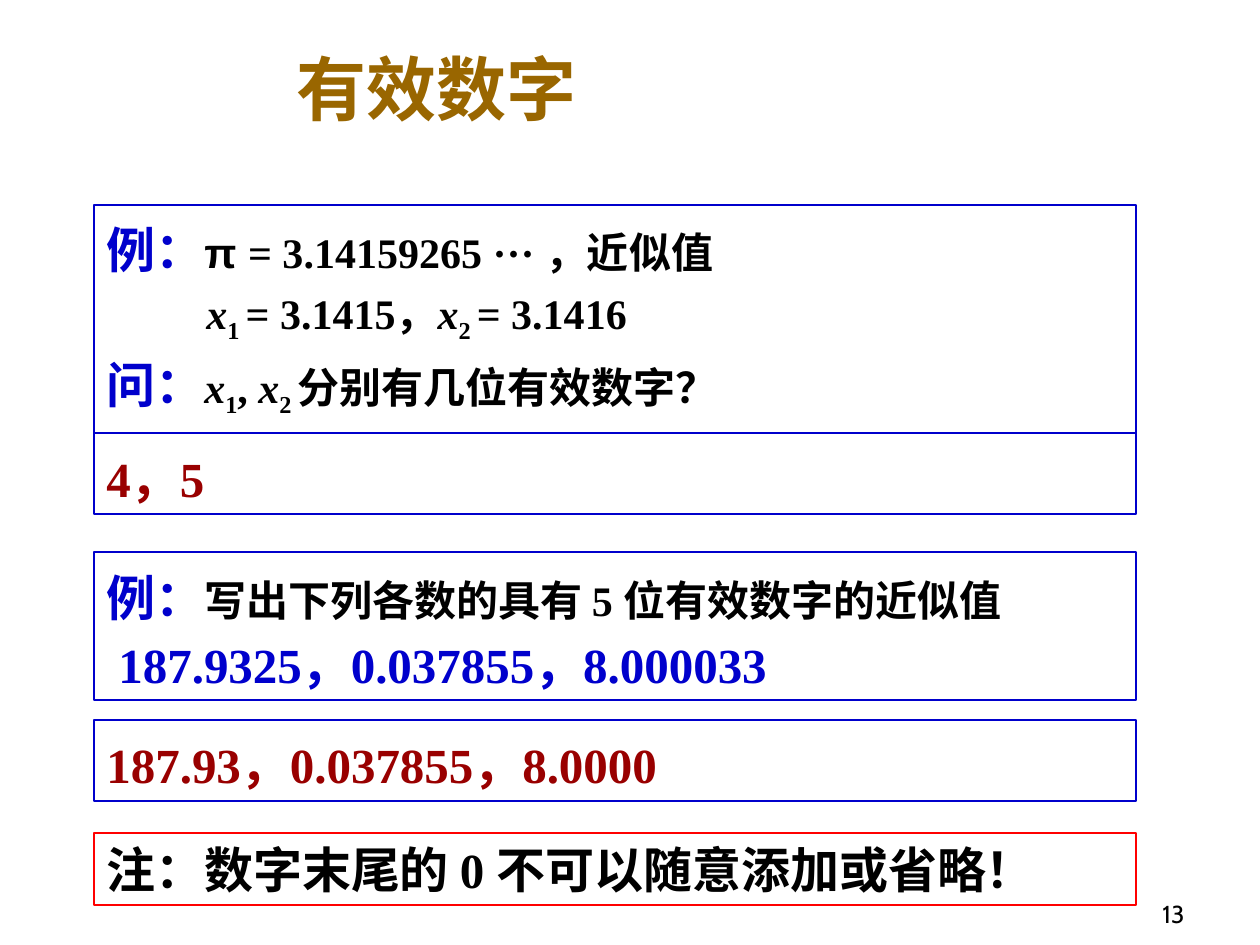
from pptx import Presentation
from pptx.dml.color import RGBColor
from pptx.enum.shapes import MSO_SHAPE
from pptx.enum.text import MSO_ANCHOR, PP_ALIGN
from pptx.util import Pt

PX = 914400 / 126
RECTANGLE = MSO_SHAPE.RECTANGLE
TOP, BOTTOM = MSO_ANCHOR.TOP, MSO_ANCHOR.BOTTOM
LEFT, RIGHT = PP_ALIGN.LEFT, PP_ALIGN.RIGHT
BLUE, DARK_RED, RED, BLACK, BROWN = "0000CC", "990000", "FF0000", "000000", "996600"
BOX_LEFT, BOX_WIDTH = 94, 1042


def px(length):
    return round(length * PX)


def color(value):
    return RGBColor.from_string(value)


def add_span(para, text, size=24, font="Times New Roman", fill=BLACK,
             bold=True, italic=False, subscript=False):
    span = para.add_run()
    span.text = text
    span.font.size = Pt(size)
    span.font.name = font
    span.font.bold = bold
    span.font.italic = italic
    span.font.color.rgb = color(fill)
    if subscript:
        span.font._element.set("baseline", "-25000")


def add_variable(para, index):
    add_span(para, "x", italic=True)
    add_span(para, index, subscript=True)


def add_label(page, box, text, anchor=BOTTOM, align=LEFT, **text_format):
    """Place one line of unframed text."""
    frame = page.shapes.add_textbox(*map(px, box)).text_frame
    frame.word_wrap = True
    frame.vertical_anchor = anchor
    frame.paragraphs[0].alignment = align
    add_span(frame.paragraphs[0], text, **text_format)


def add_panel(page, top, height, indents=(0,), line=BLUE, weight=0.75, spacing=1.15):
    """Draw a framed box and return one paragraph for each indent."""
    box = (BOX_LEFT, top, BOX_WIDTH, height)
    panel = page.shapes.add_shape(RECTANGLE, *map(px, box))
    panel.shadow.inherit = False
    panel.fill.background()
    panel.line.color.rgb = color(line)
    panel.line.width = Pt(weight)
    frame = panel.text_frame
    frame.word_wrap = True
    frame.vertical_anchor = TOP
    paras = [frame.paragraphs[0]] + [frame.add_paragraph() for _ in indents[1:]]
    for para, indent in zip(paras, indents):
        para.alignment = LEFT
        para.line_spacing = spacing
        para._p.get_or_add_pPr().set("marL", str(px(indent)))
    return paras


def add_digits_question(page, top, height):
    given, values, question = add_panel(page, top, height, indents=(0, 100, 0))
    add_span(given, "例：", size=28, fill=BLUE)
    add_span(given, "π ", font="Arial")
    add_span(given, "= 3.14159265 ··· ，近似值")
    add_variable(values, "1 ")
    add_span(values, "= 3.1415，")
    add_variable(values, "2 ")
    add_span(values, "= 3.1416")
    add_span(question, "问：", size=28, fill=BLUE)
    add_variable(question, "1")
    add_span(question, ", ")
    add_variable(question, "2 ")
    add_span(question, "分别有几位有效数字？")


def add_rounding_question(page, top, height):
    task, numbers = add_panel(page, top, height, indents=(0, 12))
    add_span(task, "例：", size=28, fill=BLUE)
    add_span(task, "写出下列各数的具有 5 位有效数字的近似值")
    add_span(numbers, "187.9325，0.037855，8.000033", size=28, fill=BLUE)


def add_answer(page, top, height, text):
    para, = add_panel(page, top, height)
    add_span(para, text, size=28, fill=DARK_RED)


def add_remark(page, top, height, text):
    para, = add_panel(page, top, height, line=RED, weight=1.5, spacing=1.0)
    add_span(para, text, size=28)


def main():
    deck = Presentation()
    deck.slide_width, deck.slide_height = px(1260), px(945)
    page = deck.slides.add_slide(deck.slide_layouts[6])
    add_label(page, (284, 32, 356, 104), "有效数字", size=40, font="Cabin", fill=BROWN)
    add_digits_question(page, 205, 228)
    add_answer(page, 433, 81, "4，5")
    add_rounding_question(page, 552, 148)
    add_answer(page, 720, 81, "187.93，0.037855，8.0000")
    add_remark(page, 833, 72, "注：数字末尾的 0 不可以随意添加或省略！")
    add_label(page, (935, 872, 262, 63), "13", align=RIGHT, size=14,
              font="Cabin", bold=False)
    deck.save("out.pptx")


if __name__ == "__main__":
    main()
